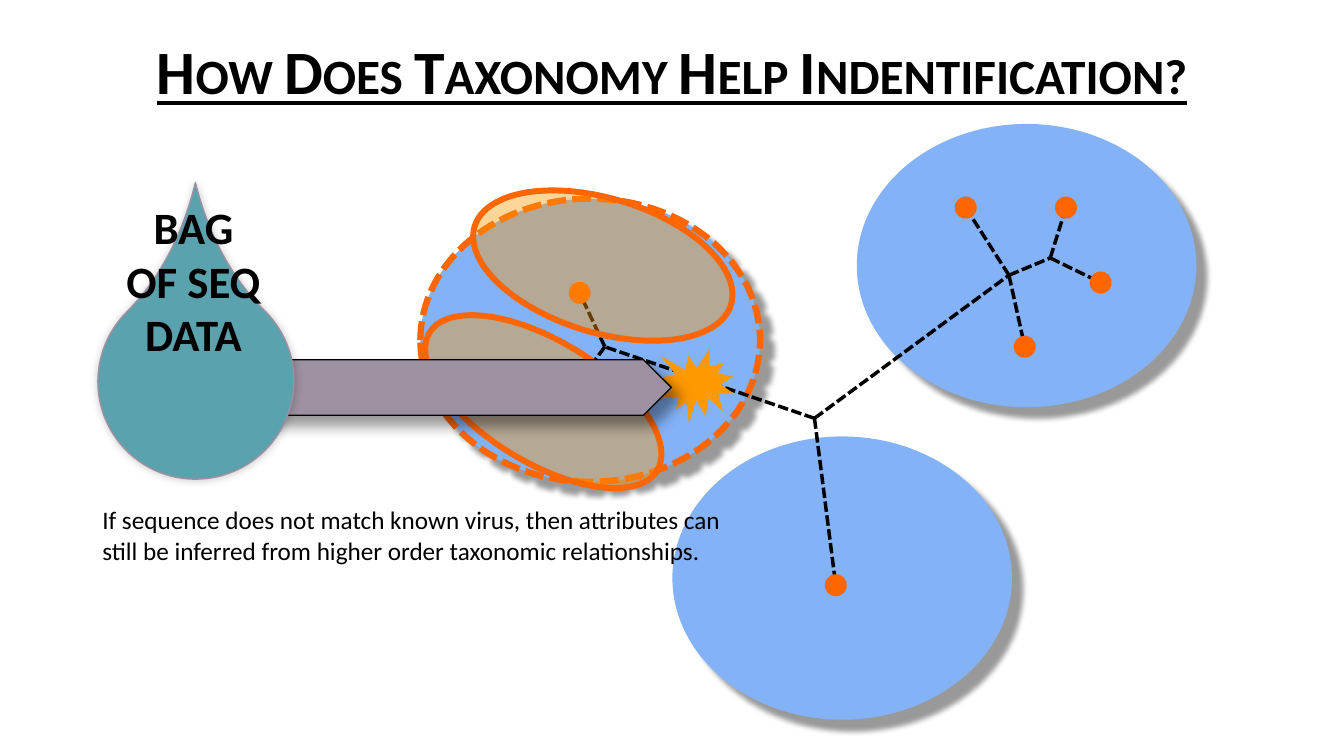
from lxml.etree import SubElement
from pptx import Presentation
from pptx.dml.color import RGBColor
from pptx.enum.dml import MSO_LINE
from pptx.enum.shapes import MSO_CONNECTOR, MSO_SHAPE as Preset
from pptx.enum.text import MSO_ANCHOR, MSO_AUTO_SIZE, PP_ALIGN
from pptx.oxml.ns import qn
from pptx.util import Pt

TITLE = "How Does Taxonomy Help Indentification?"
CAPTION = ("If sequence does not match known virus, then attributes can still be "
           "inferred from higher order taxonomic relationships.")
BAG_LINES = ["BAG", "OF SEQ", "DATA"]
FONT = "Calibri"
COLORS = {
    "black": "000000", "clade": "84B2F7", "orange": "FF6600",
    "amber": "FF9900", "teal": "5AA2AE", "mauve": "9D90A0",
}

CLADE_SIZE = (242.6, 202.3)
CLADES = [((733.3, 189.7), False), ((421.6, 243), True), ((601.6, 412.9), False)]
NODES = {
    "root": (581.8, 298.8), "right": (720.7, 196.6),
    "right fork": (750.2, 184.3), "left": (432, 247.7),
}
TIPS = {
    "bottom": (597, 418), "left upper": (414, 209.2),
    "fork upper": (761.4, 148.3), "right upper": (689.8, 148.3),
    "left lower": (408.2, 280.4), "right lower": (732, 247.7),
    "fork lower": (786.2, 201.8),
}
BRANCHES = {
    "root": ["right", "bottom", "left"],
    "right": ["right upper", "right fork", "right lower"],
    "left": ["left upper", "left lower"],
    "right fork": ["fork upper", "fork lower"],
}
DOT_SIZE = (5.8, 5.8)
GROUPS = [((388.1, 286.9), (190.1, 87.1), 31.2), ((430.6, 189.7), (191.5, 95.8), 17)]

deck = Presentation()
deck.slide_width, deck.slide_height = Pt(960), Pt(540)
page = deck.slides.add_slide(deck.slide_layouts[5])


def color(name):
    return RGBColor.from_string(COLORS[name])


def set_line(line, name, width, dashed=False):
    line.color.rgb = color(name)
    line.width = Pt(width)
    if dashed:
        line.dash_style = MSO_LINE.SQUARE_DOT


def add_shape(preset, center, size, fill, line=None, dashed=False, turn=0):
    left, top = (c - s / 2 for c, s in zip(center, size))
    shape = page.shapes.add_shape(preset, Pt(left), Pt(top), Pt(size[0]), Pt(size[1]))
    shape.rotation = turn
    shape.shadow.inherit = False
    shape.fill.solid()
    shape.fill.fore_color.rgb = color(fill)
    if line:
        set_line(shape.line, *line, dashed)
    else:
        shape.line.fill.background()
    return shape


def add_alpha(color_element, percent):
    SubElement(color_element, qn("a:alpha"), val=str(percent * 1000))


def add_shadow(shape, opacity, blur, distance, angle):
    effects = shape._element.spPr.find(qn("a:effectLst"))
    shadow = SubElement(effects, qn("a:outerShdw"), blurRad=str(Pt(blur)),
                        dist=str(Pt(distance)), dir=str(angle * 60000),
                        algn="ctr", rotWithShape="0")
    add_alpha(SubElement(shadow, qn("a:srgbClr"), val=COLORS["black"]), opacity)


def add_span(para, words, size, bold=False):
    span = para.add_run()
    span.text = words
    span.font.name, span.font.size, span.font.bold = FONT, Pt(size), bold
    span.font.color.rgb = color("black")
    return span


def add_box(left, top, width, height, lines, size, bold, align, wrap):
    box = page.shapes.add_textbox(Pt(left), Pt(top), Pt(width), Pt(height))
    frame = box.text_frame
    frame.word_wrap = wrap
    frame.auto_size = MSO_AUTO_SIZE.SHAPE_TO_FIT_TEXT
    for index, words in enumerate(lines):
        para = frame.add_paragraph() if index else frame.paragraphs[0]
        para.alignment = align
        add_span(para, words, size, bold)


title = page.shapes.title
title.left, title.top, title.width, title.height = Pt(66), Pt(1.4), Pt(828), Pt(104.4)
title.text_frame.vertical_anchor = MSO_ANCHOR.MIDDLE
heading = title.text_frame.paragraphs[0]
heading.alignment = PP_ALIGN.CENTER
heading.line_spacing = 0.9
title_span = add_span(heading, TITLE, 44, True)
title_span.font.underline = True
title_span.font._element.set("cap", "small")

for center, outlined in CLADES:
    outline = ("orange", 4.5) if outlined else None
    clade = add_shape(Preset.OVAL, center, CLADE_SIZE, "clade", outline, outlined)
    add_shadow(clade, 40, 4, 11, 45)

points = {**NODES, **TIPS}
for start, ends in BRANCHES.items():
    for end in ends:
        branch = page.shapes.add_connector(
            MSO_CONNECTOR.STRAIGHT, *(Pt(v) for v in points[start] + points[end]))
        set_line(branch.line, "black", 2.5, True)
        SubElement(branch._element.spPr, qn("a:effectLst"))

add_box(66, 357, 476.6, 51, [CAPTION], 18, False, PP_ALIGN.LEFT, True)

for name, center in TIPS.items():
    fill = "teal" if name == "left upper" else "orange"
    add_shape(Preset.OVAL, center, DOT_SIZE, fill, ("orange", 10))

add_shape(Preset.EXPLOSION1, (497.9, 275.4), (54, 54), "amber")

for center, size, turn in GROUPS:
    group = add_shape(Preset.OVAL, center, size, "amber", ("orange", 4.25), turn=turn)
    add_alpha(group._element.spPr.find(qn("a:solidFill"))[0], 40)

arrow = add_shape(Preset.PENTAGON, (327.6, 276.8), (303.8, 39.6), "mauve", ("black", 1))
add_shadow(arrow, 40, 10, 10, 45)

bag = add_shape(Preset.TEAR, (140, 272.2), (140.4, 139.7), "teal", ("mauve", 1), turn=314.7)
bag.adjustments[0] = 1.432
add_shadow(bag, 20, 6, 0, 315)
add_box(68.4, 139, 139.7, 104.4, BAG_LINES, 32, True, PP_ALIGN.CENTER, False)

deck.save("out.pptx")
